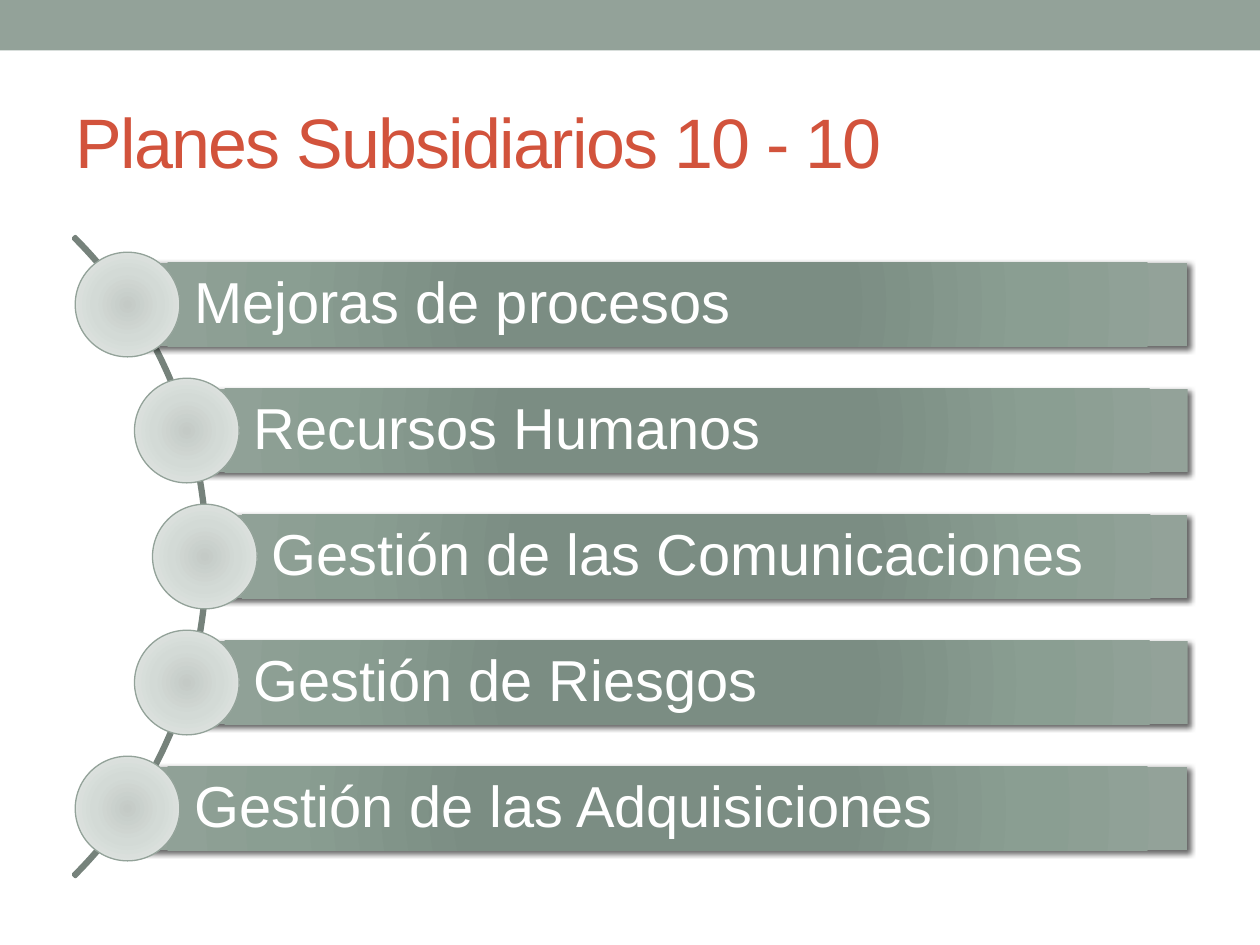
import math
from dataclasses import dataclass

import pptx
import pptx.dml.color
import pptx.enum.shapes
import pptx.enum.text
import pptx.oxml
import pptx.oxml.ns
import pptx.util
from pptx.util import Cm, Pt

RGBColor = pptx.dml.color.RGBColor
Shape = pptx.enum.shapes.MSO_SHAPE


@dataclass(frozen=True)
class Theme:
    font: str = "Arial"
    title_size: int = 40
    item_size: int = 33
    title: str = "D2533C"
    accent: str = "93A299"
    arc: str = "76827B"
    item_text: str = "FFFFFF"
    bar_stops: tuple = ((0, "7B8E82"), (34, "7B8D83"), (70, "8A9E92"), (100, "93A299"))
    dot_stops: tuple = ((0, "C4CAC6"), (45, "D3DAD6"), (100, "E7EAE8"))


theme = Theme()
NAMESPACE = pptx.oxml.ns.nsdecls("a")


def fill_radially(shape, stops):
    stop_xml = "".join(
        f'<a:gs pos="{position * 1000}"><a:srgbClr val="{color}"/></a:gs>'
        for position, color in stops
    )
    gradient = pptx.oxml.parse_xml(
        f'<a:gradFill {NAMESPACE} rotWithShape="1"><a:gsLst>{stop_xml}</a:gsLst>'
        '<a:path path="circle"><a:fillToRect l="100000" t="100000" r="100000" b="100000"/>'
        "</a:path></a:gradFill>"
    )
    shape._element.spPr.find(pptx.oxml.ns.qn("a:prstGeom")).addnext(gradient)


def write_text(shape, text, size, color):
    """Write one left-aligned, vertically centred line and return its run."""
    frame = shape.text_frame
    frame.word_wrap = True
    frame.vertical_anchor = pptx.enum.text.MSO_ANCHOR.MIDDLE
    paragraph = frame.paragraphs[0]
    paragraph.alignment = pptx.enum.text.PP_ALIGN.LEFT
    run = paragraph.add_run()
    run.text = text
    run.font.name = theme.font
    run.font.size = Pt(size)
    run.font.color.rgb = RGBColor.from_string(color)
    return run


presentation = pptx.Presentation()
presentation.slide_width = Cm(25.4)
presentation.slide_height = Cm(19.05)
slide = presentation.slides.add_slide(presentation.slide_layouts[6])
shapes = slide.shapes

# Top band and title
band = shapes.add_shape(Shape.RECTANGLE, 0, 0, presentation.slide_width, Cm(1.02))
band.shadow.inherit = False
band.fill.solid()
band.fill.fore_color.rgb = RGBColor.from_string(theme.accent)
band.line.fill.background()

title = shapes.add_textbox(Cm(1.27), Cm(1.47), Cm(22.86), Cm(2.74))
title_run = write_text(title, "Planes Subsidiarios 10 - 10", theme.title_size, theme.title)
title_run.font._element.set("spc", "-100")

# Arc that carries the dots
arc_size = 18.24
arc_x, arc_y = -4.93, 11.22
arc = shapes.add_shape(
    Shape.BLOCK_ARC,
    Cm(arc_x - arc_size / 2), Cm(arc_y - arc_size / 2), Cm(arc_size), Cm(arc_size),
)
for index, value in enumerate((189, 27, 0.003)):
    arc.adjustments[index] = value
arc.shadow.inherit = False
arc.fill.background()
arc.line.color.rgb = RGBColor.from_string(theme.arc)
arc.line.width = Pt(2.08)

# Bars start at the centre of their dots, which lie on the arc
items = (
    "Mejoras de procesos",
    "Recursos Humanos",
    "Gestión de las Comunicaciones",
    "Gestión de Riesgos",
    "Gestión de las Adquisiciones",
)
dot_path_radius = 9.06
pitch = 2.54
bar_right, bar_height = 23.94, 1.69
dot_size = 2.11

for index, item in enumerate(items):
    offset = (index - (len(items) - 1) / 2) * pitch
    center_x = arc_x + math.sqrt(dot_path_radius**2 - offset**2)
    center_y = arc_y + offset

    bar = shapes.add_shape(
        Shape.RECTANGLE,
        Cm(center_x), Cm(center_y - bar_height / 2), Cm(bar_right - center_x), Cm(bar_height),
    )
    fill_radially(bar, theme.bar_stops)
    bar.line.fill.background()
    bar._element.spPr.append(pptx.oxml.parse_xml(
        f'<a:effectLst {NAMESPACE}><a:outerShdw blurRad="38100" dist="25400" dir="2700000" '
        'rotWithShape="0"><a:srgbClr val="000000"><a:alpha val="60000"/></a:srgbClr>'
        "</a:outerShdw></a:effectLst>"
    ))
    bar.text_frame.margin_left = Cm(1.35)
    write_text(bar, item, theme.item_size, theme.item_text)
    bar.text_frame.paragraphs[0].line_spacing = 0.9

    dot = shapes.add_shape(
        Shape.OVAL,
        Cm(center_x - dot_size / 2), Cm(center_y - dot_size / 2), Cm(dot_size), Cm(dot_size),
    )
    dot.shadow.inherit = False
    fill_radially(dot, theme.dot_stops)
    dot.line.color.rgb = RGBColor.from_string(theme.accent)
    dot.line.width = Pt(0.75)

presentation.save("out.pptx")
